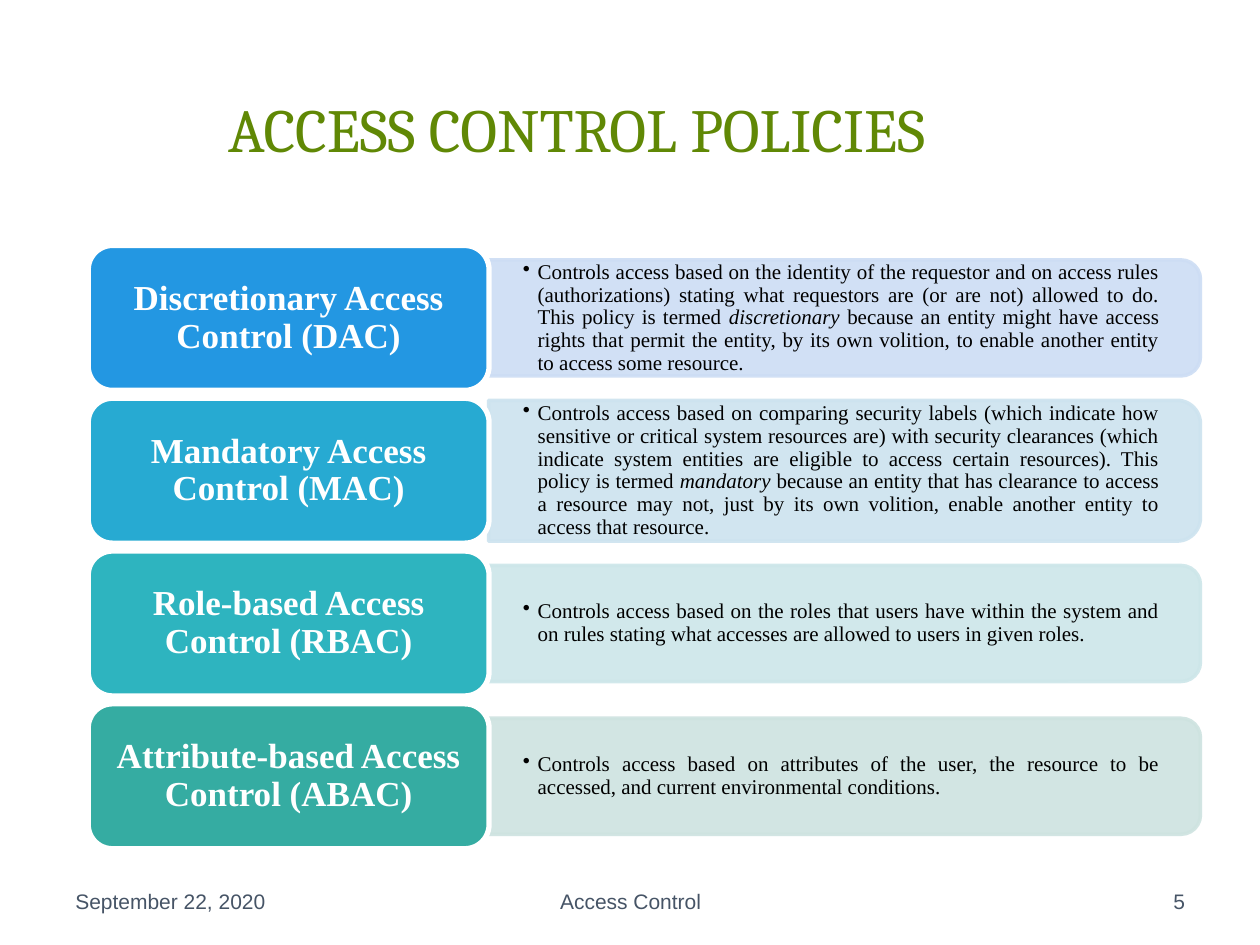
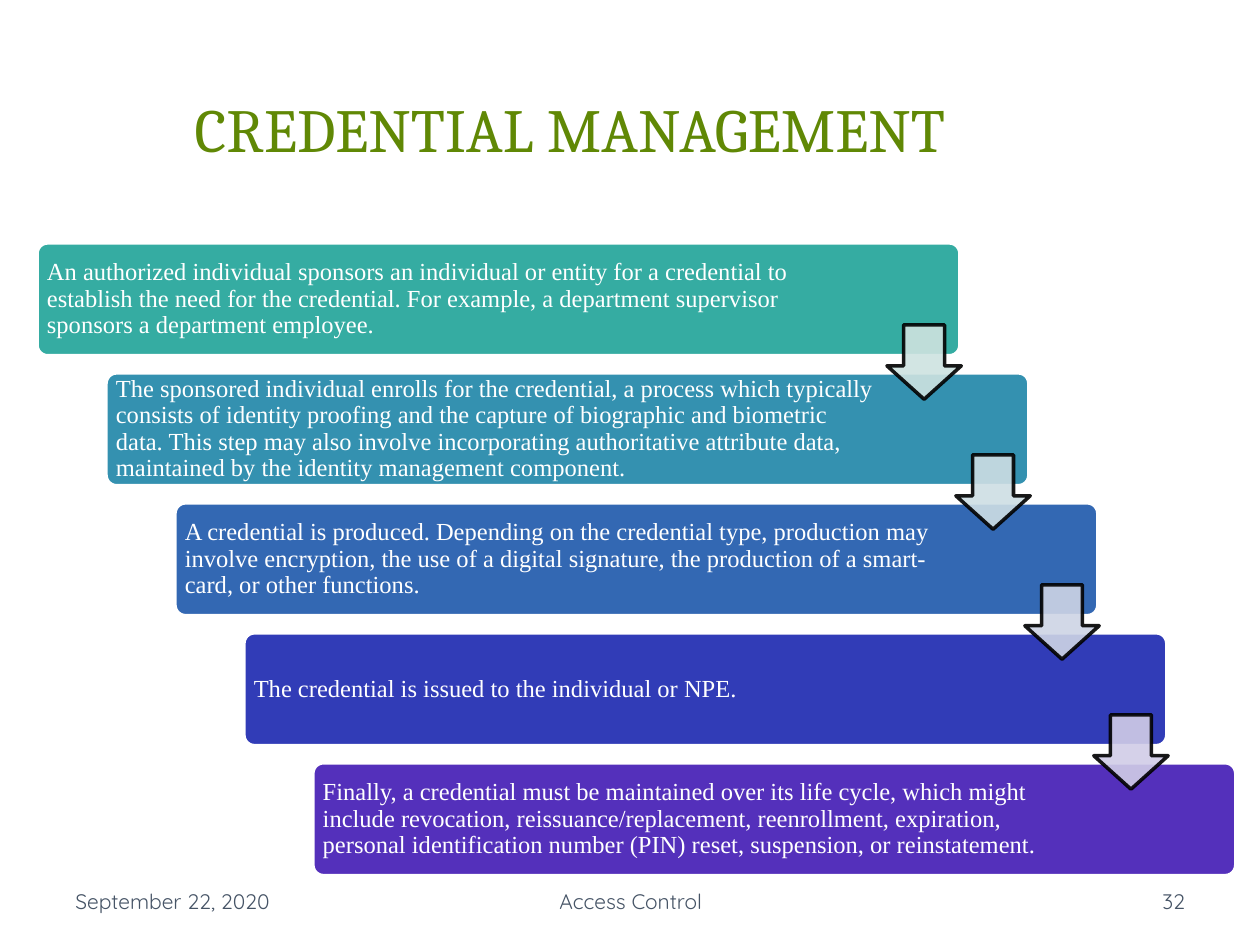
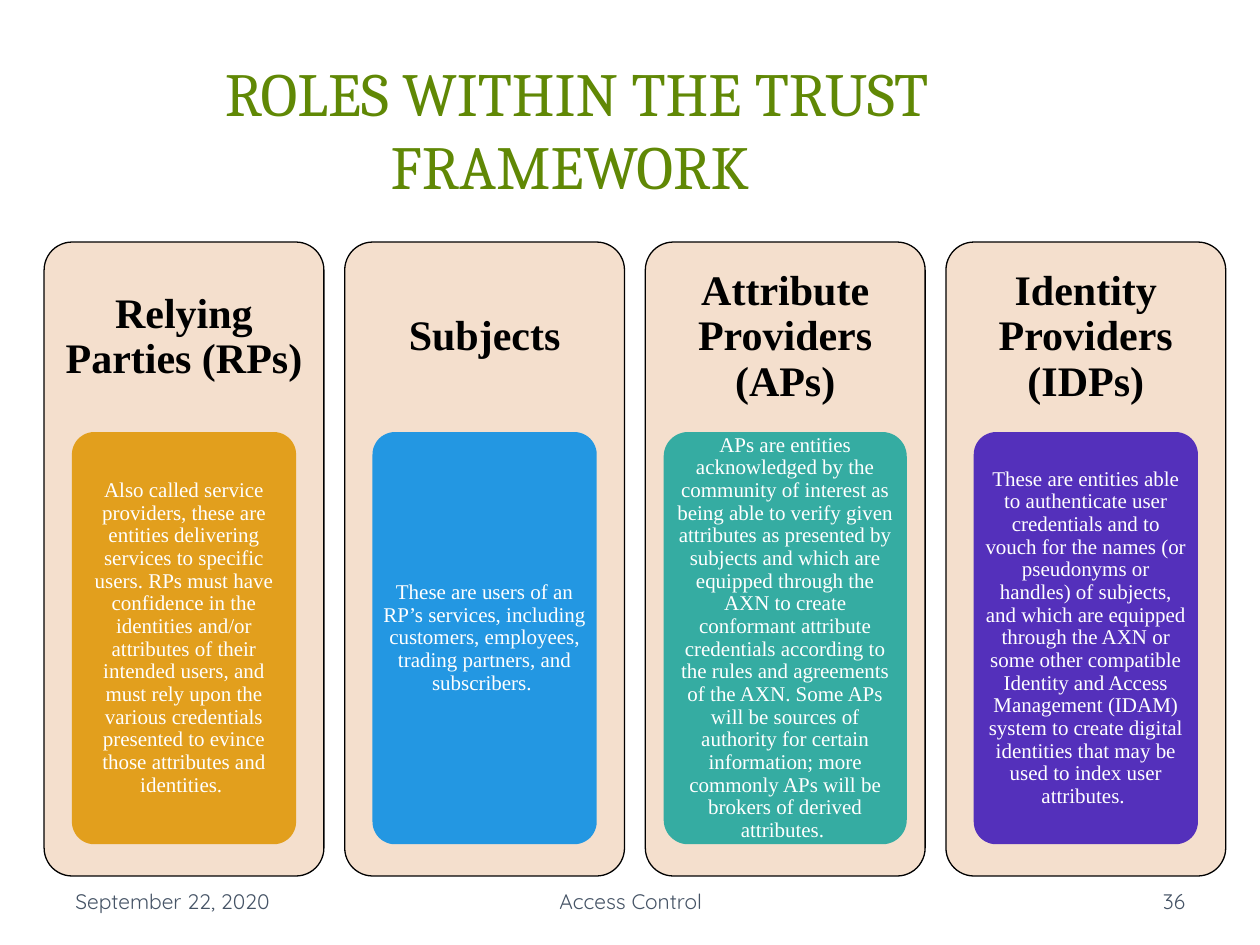
from dataclasses import dataclass

from lxml.etree import SubElement
from pptx import Presentation
from pptx.dml.color import RGBColor
from pptx.enum.shapes import MSO_SHAPE
from pptx.enum.text import MSO_ANCHOR, PP_ALIGN
from pptx.oxml.ns import qn
from pptx.util import Cm, Pt


@dataclass(frozen=True)
class Theme:
    title_font: str = "Cambria"
    body_font: str = "Times New Roman"
    title_color: str = "608805"
    footer_color: str = "465466"
    black: str = "000000"
    white: str = "FFFFFF"
    card: str = "F4DFCD"
    amber: str = "E29F1D"
    blue: str = "2397E2"
    sky: str = "27AAD2"
    turquoise: str = "2EB4BF"
    teal: str = "35ACA2"
    steel: str = "3491B0"
    cobalt: str = "3368B3"
    indigo: str = "313CB7"
    violet: str = "5430BB"
    pale_blue: str = "CDDDF4"
    pale_sky: str = "CDE3EF"
    pale_turquoise: str = "CDE6E9"
    pale_teal: str = "CEE3E0"
    pale_steel: str = "CEDEE4"
    pale_cobalt: str = "CED4E5"
    pale_violet: str = "D1CDE7"
    title_size: float = 35
    heading_size: float = 24
    label_size: float = 20
    step_size: float = 14
    small_size: float = 12
    default_insets: tuple = (0.25, 0.13, 0.25, 0.13)


class Deck:
    def __init__(self, theme):
        self.theme = theme
        self.presentation = Presentation()
        self.presentation.slide_width = Cm(25.4)
        self.presentation.slide_height = Cm(19.05)
        self.slide = None

    def add_slide(self, title, number, footer_font):
        theme = self.theme
        self.slide = self.presentation.slides.add_slide(self.presentation.slide_layouts[6])
        self.add_text((1.19, 1.14, 20.88, 2.9), title, theme.title_size, theme.title_color,
                      font=theme.title_font, align=PP_ALIGN.CENTER)
        footers = (
            (1.27, 5.93, "September 22, 2020", PP_ALIGN.LEFT),
            (8.69, 8.05, "Access Control", PP_ALIGN.CENTER),
            (18.21, 5.93, str(number), PP_ALIGN.RIGHT),
        )
        for left, width, text, align in footers:
            self.add_text((left, 17.65, width, 1.02), text, theme.small_size,
                          theme.footer_color, font=footer_font, align=align)

    def add_text(self, box, text, size, color, **style):
        shape = self.slide.shapes.add_textbox(*map(Cm, box))
        self.set_text(shape, text, size, color, **style)
        return shape

    def set_text(self, shape, text, size, color, font=None, bold=False,
                 align=PP_ALIGN.LEFT, spacing=None, insets=None):
        frame = shape.text_frame
        frame.word_wrap = True
        frame.vertical_anchor = MSO_ANCHOR.MIDDLE
        (frame.margin_left, frame.margin_top,
         frame.margin_right, frame.margin_bottom) = map(Cm, insets or self.theme.default_insets)
        paragraph = frame.paragraphs[0]
        pieces = text.split("*")
        paragraph.text = pieces[0]
        for piece in pieces[1:]:
            paragraph.add_run().text = piece
        paragraph.alignment = align
        paragraph.line_spacing = spacing
        for index, run in enumerate(paragraph.runs):
            run.font.name = font or self.theme.body_font
            run.font.size = Pt(size)
            run.font.bold = bold
            run.font.italic = index % 2 == 1
            run.font.color.rgb = RGBColor.from_string(color)

    def add_bullet(self, box, text):
        shape = self.add_text(box, text, self.theme.small_size, self.theme.black,
                              align=PP_ALIGN.JUSTIFY, spacing=0.9,
                              insets=(0.69, 0.36, 0.69, 0.36))
        properties = shape.text_frame.paragraphs[0]._p.get_or_add_pPr()
        properties.set("marL", str(Cm(0.3)))
        properties.set("indent", str(-Cm(0.3)))
        SubElement(properties, qn("a:buChar")).set("char", "•")

    def add_shape(self, kind, box, fill, line=None, line_width=3.0, adjustments=(), alpha=None):
        shape = self.slide.shapes.add_shape(kind, *map(Cm, box))
        shape.shadow.inherit = False
        shape.fill.solid()
        shape.fill.fore_color.rgb = RGBColor.from_string(fill)
        if line:
            shape.line.color.rgb = RGBColor.from_string(line)
            shape.line.width = Pt(line_width)
        else:
            shape.line.fill.background()
        for index, value in enumerate(adjustments):
            shape.adjustments[index] = value
        if alpha:
            for color in shape.element.spPr.iter(qn("a:srgbClr")):
                SubElement(color, qn("a:alpha")).set("val", str(alpha * 1000))
        return shape

    def add_panel(self, left, middle, width, height, fill):
        center = left + width / 2
        box = (center - height / 2, middle - width / 2, height, width)
        panel = self.add_shape(MSO_SHAPE.ROUND_2_SAME_RECTANGLE, box, fill, fill, 2, alpha=90)
        panel.rotation = 90

    def save(self):
        self.presentation.save("out.pptx")


def build_policies(deck):
    theme = deck.theme
    deck.add_slide("ACCESS CONTROL POLICIES", 5, "Arial")
    policies = (
        ("Discretionary Access Control (DAC)", theme.blue, theme.pale_blue, 2.34,
         "Controls access based on the identity of the requestor and on access rules "
         "(authorizations) stating what requestors are (or are not) allowed to do. This policy "
         "is termed *discretionary *because an entity might have access rights that permit the "
         "entity, by its own volition, to enable another entity to access some resource. "),
        ("Mandatory Access Control (MAC)", theme.sky, theme.pale_sky, 2.84,
         "Controls access based on comparing security labels (which indicate how sensitive or "
         "critical system resources are) with security clearances (which indicate system "
         "entities are eligible to access certain resources). This policy is termed *mandatory "
         "*because an entity that has clearance to access a resource may not, just by its own "
         "volition, enable another entity to access that resource. "),
        ("Role-based Access Control (RBAC)", theme.turquoise, theme.pale_turquoise, 2.34,
         "Controls access based on the roles that users have within the system and on rules "
         "stating what accesses are allowed to users in given roles. "),
        ("Attribute-based Access Control (ABAC)", theme.teal, theme.pale_teal, 2.34,
         "Controls access based on attributes of the user, the resource to be accessed, and "
         "current environmental conditions. "),
    )
    label_height = 2.92
    for row, (name, color, pale, panel_height, description) in enumerate(policies):
        top = 4.95 + 3.08 * row
        middle = top + label_height / 2
        deck.add_panel(9.85, middle, 14.35, panel_height, pale)
        deck.add_bullet((9.85, middle - panel_height / 2, 14.22, panel_height), description)
        label = deck.add_shape(MSO_SHAPE.ROUNDED_RECTANGLE, (1.78, top, 8.08, label_height),
                               color, theme.white)
        deck.set_text(label, name, theme.label_size, theme.white, bold=True,
                      align=PP_ALIGN.CENTER, spacing=0.9, insets=(0.2, 0.1, 0.2, 0.1))


def build_credentials(deck):
    theme = deck.theme
    deck.add_slide("CREDENTIAL MANAGEMENT ", 32, "Quicksand")
    steps = (
        (theme.teal,
         "An authorized individual sponsors an individual or entity for a credential to "
         "establish the need for the credential. For example, a department supervisor sponsors "
         "a department employee."),
        (theme.steel,
         "The sponsored individual enrolls for the credential, a process which typically "
         "consists of identity proofing and the capture of biographic and biometric data. This "
         "step may also involve incorporating authoritative attribute data, maintained by the "
         "identity management component."),
        (theme.cobalt,
         "A credential is produced. Depending on the credential type, production may involve "
         "encryption, the use of a digital signature, the production of a smart- card, or other "
         "functions."),
        (theme.indigo, "The credential is issued to the individual or NPE."),
        (theme.violet,
         "Finally, a credential must be maintained over its life cycle, which might include "
         "revocation, reissuance/replacement, reenrollment, expiration, personal identification "
         "number (PIN) reset, suspension, or reinstatement."),
    )
    arrow_fills = (theme.pale_teal, theme.pale_steel, theme.pale_cobalt, theme.pale_violet)
    step_right, step_down = 1.39, 2.62
    for index, (color, text) in enumerate(steps):
        box = (0.73 + step_right * index, 4.88 + step_down * index, 18.64, 2.31)
        step = deck.add_shape(MSO_SHAPE.ROUNDED_RECTANGLE, box, color, theme.white,
                              adjustments=(0.1,))
        deck.set_text(step, text, theme.step_size, theme.white, spacing=0.9,
                      insets=(0.15, 0.15, 3.03, 0.15))
    for index, fill in enumerate(arrow_fills):
        box = (17.88 + step_right * index, 6.55 + step_down * index, 1.5, 1.5)
        deck.add_shape(MSO_SHAPE.DOWN_ARROW, box, fill, theme.black, 2,
                       adjustments=(0.55, 0.45), alpha=90)


def build_roles(deck):
    theme = deck.theme
    deck.add_slide("ROLES WITHIN THE TRUST FRAMEWORK ", 36, "Quicksand")
    roles = (
        ("Relying Parties (RPs)", theme.amber, 4.52,
         "Also called service providers, these are entities delivering services to specific "
         "users. RPs must have confidence in the identities and/or attributes of their intended "
         "users, and must rely upon the various credentials presented to evince those attributes "
         "and identities. "),
        ("Subjects", theme.blue, 4.52,
         "These are users of an RP’s services, including customers, employees, trading "
         "partners, and subscribers. "),
        ("Attribute Providers (APs)", theme.teal, 4.9,
         "APs are entities acknowledged by the community of interest as being able to verify "
         "given attributes as presented by subjects and which are equipped through the AXN to "
         "create conformant attribute credentials according to the rules and agreements of the "
         "AXN. Some APs will be sources of authority for certain information; more commonly APs "
         "will be brokers of derived attributes. "),
        ("Identity Providers (IDPs)", theme.violet, 4.52,
         "These are entities able to authenticate user credentials and to vouch for the names "
         "(or pseudonyms or handles) of subjects, and which are equipped through the AXN or some "
         "other compatible Identity and Access Management (IDAM) system to create digital "
         "identities that may be used to index user attributes. "),
    )
    card_width = 5.64
    for column, (name, color, width, description) in enumerate(roles):
        left = 0.89 + 6.06 * column
        card = deck.add_shape(MSO_SHAPE.ROUNDED_RECTANGLE, (left, 4.88, card_width, 12.78),
                              theme.card, theme.black, 0.75, adjustments=(0.1,))
        deck.set_text(card, name, theme.heading_size, theme.black, bold=True,
                      align=PP_ALIGN.CENTER, spacing=0.9, insets=(0.09, 0.09, 0.09, 9.03))
        box = (left + (card_width - width) / 2, 8.71, width, 8.31)
        detail = deck.add_shape(MSO_SHAPE.ROUNDED_RECTANGLE, box, color, adjustments=(0.1,))
        deck.set_text(detail, description, theme.small_size, theme.white,
                      align=PP_ALIGN.CENTER, spacing=0.9, insets=(0.08, 0.08, 0.08, 0.08))


def main():
    deck = Deck(Theme())
    build_policies(deck)
    build_credentials(deck)
    build_roles(deck)
    deck.save()


if __name__ == "__main__":
    main()
